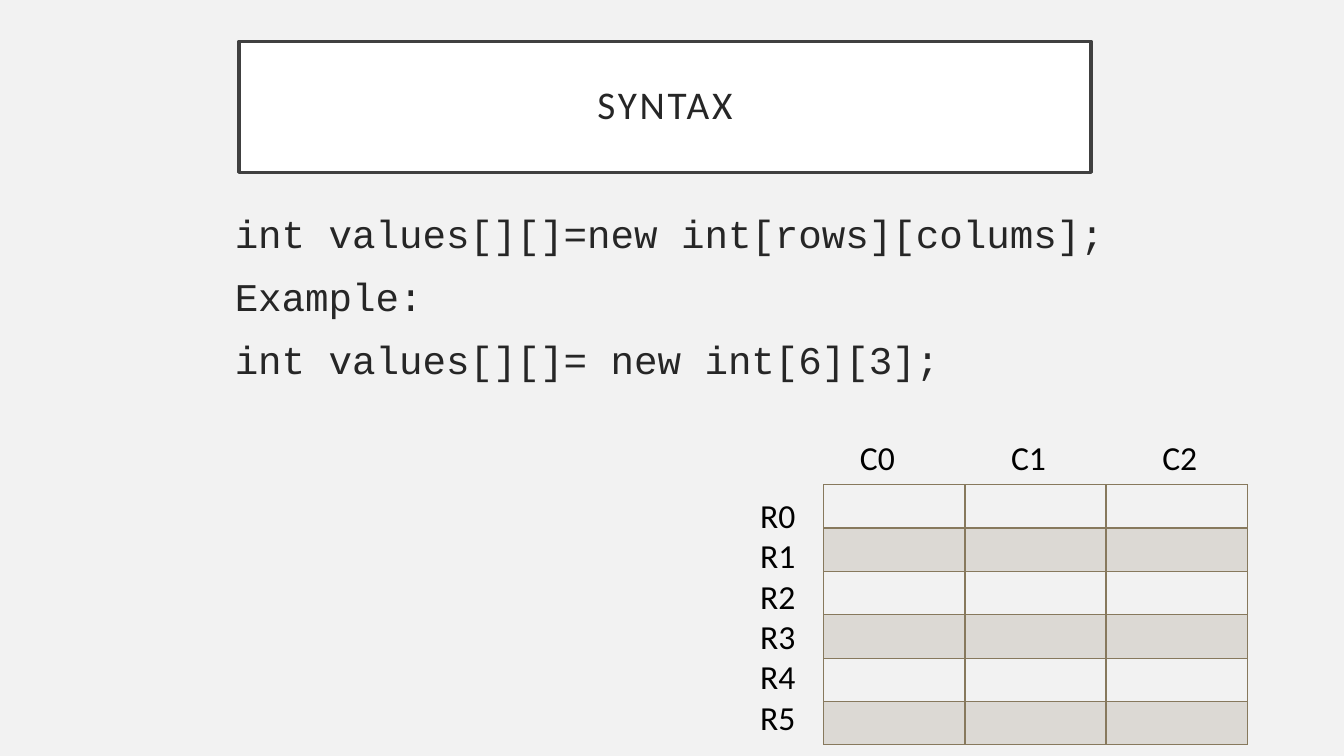
from pptx import Presentation
from pptx.dml.color import RGBColor
from pptx.enum.shapes import MSO_SHAPE
from pptx.enum.text import MSO_ANCHOR, PP_ALIGN
from pptx.oxml.ns import qn
from pptx.util import Inches, Pt
from lxml import etree

RECTANGLE = MSO_SHAPE.RECTANGLE
MIDDLE = MSO_ANCHOR.MIDDLE
CENTER = PP_ALIGN.CENTER

BACKGROUND = RGBColor(0xF2, 0xF2, 0xF2)
WHITE = RGBColor(0xFF, 0xFF, 0xFF)
BLACK = RGBColor(0, 0, 0)
INK = RGBColor(0x26, 0x26, 0x26)
FRAME = RGBColor(0x40, 0x40, 0x40)
TAUPE = RGBColor(0x87, 0x79, 0x5D)

ROWS, COLUMNS = 6, 3
COLUMN_WIDTH, ROW_HEIGHT = 1.4, 0.43
LABEL_STEP = 1.5


class SyntaxSlide:
    heading_font = "Calibri"
    code_font = "Courier New"

    def __init__(self, deck):
        self.page = deck.slides.add_slide(deck.slide_layouts[6])
        fill = self.page.background.fill
        fill.solid()
        fill.fore_color.rgb = BACKGROUND

    def add_lines(self, frame, lines, font, size, color, **paragraph_format):
        for index, line in enumerate(lines):
            para = frame.add_paragraph() if index else frame.paragraphs[0]
            for name, value in paragraph_format.items():
                setattr(para, name, value)
            span = para.add_run()
            span.text = line
            for name, value in {"name": font, "size": Pt(size)}.items():
                setattr(span.font, name, value)
            span.font.color.rgb = color

    def title(self, text, left, top, width, height):
        box = self.page.shapes.add_shape(
            RECTANGLE, Inches(left), Inches(top), Inches(width), Inches(height))
        box.shadow.inherit = False
        box.fill.solid()
        box.fill.fore_color.rgb = WHITE
        box.line.color.rgb = FRAME
        box.line.width = Pt(2.5)
        frame = box.text_frame
        frame.vertical_anchor = MIDDLE
        for side in ("left", "top", "right", "bottom"):
            setattr(frame, f"margin_{side}", Inches(0.2))
        self.add_lines(frame, [text], self.heading_font, 28, INK,
                       alignment=CENTER, line_spacing=0.9)
        span = frame.paragraphs[0].runs[0]
        span._r.get_or_add_rPr().set("spc", "200")

    def text(self, lines, left, top, width, height, font, size, color,
             wrap=False, **paragraph_format):
        box = self.page.shapes.add_textbox(
            Inches(left), Inches(top), Inches(width), Inches(height))
        box.text_frame.word_wrap = wrap
        self.add_lines(box.text_frame, lines, font, size, color, **paragraph_format)
        return box.text_frame

    def column_labels(self, labels, left, top, width, height):
        frame = self.text(["\t".join(labels)], left, top, width, height,
                          self.heading_font, 24, BLACK)
        properties = frame.paragraphs[0]._p.get_or_add_pPr()
        stops = etree.SubElement(properties, qn("a:tabLst"))
        for index in range(1, len(labels)):
            etree.SubElement(stops, qn("a:tab"), algn="l",
                             pos=str(Inches(index * LABEL_STEP)))

    def border(self, cell, side, width):
        line = etree.SubElement(cell._tc.get_or_add_tcPr(), qn(f"a:{side}"),
                                w=str(Pt(width)))
        fill = etree.SubElement(line, qn("a:solidFill"))
        etree.SubElement(fill, qn("a:srgbClr"), val=str(TAUPE))

    def grid(self, left, top):
        table = self.page.shapes.add_table(
            ROWS, COLUMNS, Inches(left), Inches(top),
            Inches(COLUMNS * COLUMN_WIDTH), Inches(ROWS * ROW_HEIGHT)).table
        table.first_row = table.horz_banding = False
        for column in table.columns:
            column.width = Inches(COLUMN_WIDTH)
        for index, row in enumerate(table.rows):
            row.height = Inches(ROW_HEIGHT)
            for cell in row.cells:
                widths = {"lnL": 1, "lnR": 1, "lnT": 2 if index == 1 else 1,
                          "lnB": 2 if index == 0 else 1}
                for side, width in widths.items():
                    self.border(cell, side, width)
                self.band(cell, index % 2 == 1)

    def band(self, cell, shaded):
        if not shaded:
            cell.fill.background()
            return
        cell.fill.solid()
        cell.fill.fore_color.rgb = TAUPE
        color = cell._tc.tcPr.find(qn("a:solidFill")).find(qn("a:srgbClr"))
        etree.SubElement(color, qn("a:alpha"), val="20000")


def main():
    deck = Presentation()
    deck.slide_width, deck.slide_height = Inches(13.33), Inches(7.5)
    slide = SyntaxSlide(deck)
    slide.title("SYNTAX", 2.37, 0.41, 8.45, 1.3)
    slide.text(["int values[][]=new int[rows][colums];", "Example:",
                "int values[][]= new int[6][3];"],
               2.23, 2, 9.35, 3.39, slide.code_font, 28, INK, wrap=True,
               space_before=Pt(10), line_spacing=1.05)
    slide.grid(8.17, 4.81)
    slide.column_labels([f"C{index}" for index in range(COLUMNS)],
                        8.43, 4.29, 3.64, 0.5)
    slide.text([f"R{index}" for index in range(ROWS)],
               7.44, 4.86, 0.57, 2.52, slide.heading_font, 24, BLACK)
    deck.save("out.pptx")


if __name__ == "__main__":
    main()
